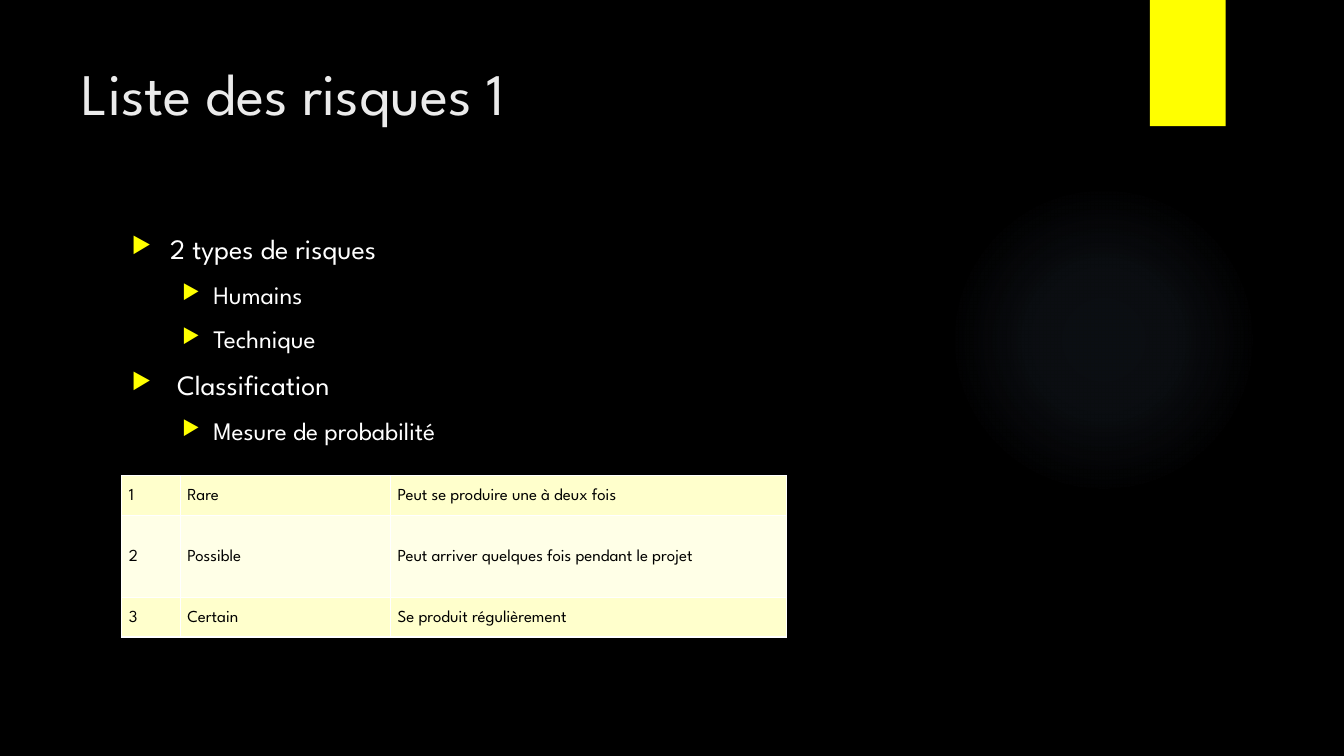
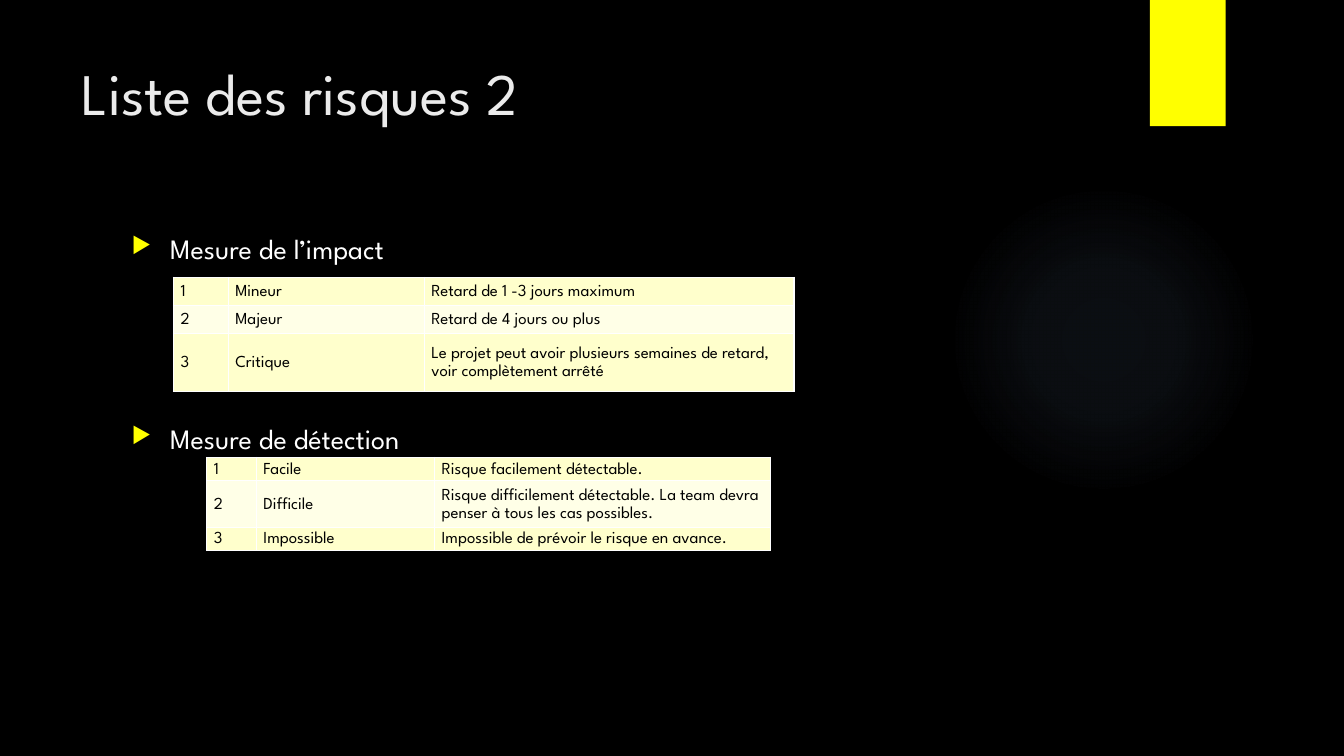
from pptx import Presentation
from pptx.dml.color import RGBColor
from pptx.enum.shapes import MSO_SHAPE
from pptx.enum.text import MSO_ANCHOR
from pptx.oxml import parse_xml
from pptx.oxml.ns import nsdecls
from pptx.util import Cm, Pt

BLACK = RGBColor(0x00, 0x00, 0x00)
WHITE = RGBColor(0xFF, 0xFF, 0xFF)
PALE = RGBColor(0xEB, 0xEB, 0xEB)
YELLOW = RGBColor(0xFF, 0xFF, 0x00)
CREAM = RGBColor(0xFF, 0xFF, 0xCC)
IVORY = RGBColor(0xFF, 0xFF, 0xE7)
GLOW = RGBColor(0x9D, 0xC6, 0xF9)

FONT = "League Spartan"
LEADING = 1.2
GAP = 10  # points above each bullet
LEVELS = [(20, 0.97, 0.97), (18, 2.06, 0.79)]  # size, margin, hanging
SHARES = (0.088, 0.316, 0.596)  # column shares of a table's width
STOPS = [(0, 7), (36, 6), (69, 0)]  # glow: position and opacity in percent


class Deck:
    def __init__(self):
        self.file = Presentation()
        self.file.slide_width, self.file.slide_height = Cm(33.87), Cm(19.05)

    def start(self, title):
        self.slide = self.file.slides.add_slide(self.file.slide_layouts[6])
        fill = self.slide.background.fill
        fill.solid()
        fill.fore_color.rgb = BLACK
        self.glow()
        band = self.shape(MSO_SHAPE.RECTANGLE, 28.98, 0, 1.91, 3.18)
        band.fill.solid()
        band.fill.fore_color.rgb = YELLOW
        para = self.box(1.8, 1.3, 24.84, 3.89).paragraphs[0]
        self.label(para, title, 42, PALE)
        para.line_spacing = Pt(42 * LEADING)

    def shape(self, kind, left, top, width, height):
        item = self.slide.shapes.add_shape(
            kind, Cm(left), Cm(top), Cm(width), Cm(height))
        item.shadow.inherit = False
        item.line.fill.background()
        return item

    def glow(self):
        disc = self.shape(MSO_SHAPE.OVAL, 23.9, 4.65, 7.82, 7.82)
        stops = "".join(
            f'<a:gs pos="{pos * 1000}"><a:srgbClr val="{GLOW}">'
            f'<a:alpha val="{alpha * 1000}"/></a:srgbClr></a:gs>'
            for pos, alpha in STOPS)
        grad = parse_xml(
            f'<a:gradFill {nsdecls("a")}><a:gsLst>{stops}</a:gsLst>'
            '<a:path path="circle"><a:fillToRect l="50000" t="50000" '
            'r="50000" b="50000"/></a:path></a:gradFill>')
        disc.element.spPr.find("{*}prstGeom").addnext(grad)

    def box(self, left, top, width, height):
        frame = self.slide.shapes.add_textbox(
            Cm(left), Cm(top), Cm(width), Cm(height)).text_frame
        frame.word_wrap = True
        return frame

    def label(self, para, text, size, color):
        para.text = text
        for run in para.runs:
            run.font.name = FONT
            run.font.size = Pt(size)
            run.font.color.rgb = color

    def bullets(self, items):
        """Each item is a level, a text and the points above it."""
        frame = self.box(3.07, 5.71, 24.84, 11.66)
        for row, (level, text, above) in enumerate(items):
            para = frame.add_paragraph() if row else frame.paragraphs[0]
            size, margin, hang = LEVELS[level]
            self.label(para, text, size, WHITE)
            para.level = level
            para.line_spacing = Pt(size * LEADING)
            para.space_before = Pt(above)
            props = para._p.get_or_add_pPr()
            props.set("marL", str(Cm(margin)))
            props.set("indent", str(-Cm(hang)))
            for mark in (
                    f'<a:buClr {nsdecls("a")}><a:srgbClr val="{YELLOW}"/></a:buClr>',
                    f'<a:buSzPct {nsdecls("a")} val="80000"/>',
                    f'<a:buChar {nsdecls("a")} char="▶"/>'):
                props.append(parse_xml(mark))

    def table(self, left, top, width, heights, rows):
        grid = self.slide.shapes.add_table(
            len(rows), len(SHARES), Cm(left), Cm(top), Cm(width),
            Cm(sum(heights))).table
        grid.first_row = False
        for col, share in zip(grid.columns, SHARES):
            col.width = Cm(round(width * share, 2))
        for num, (height, texts) in enumerate(zip(heights, rows)):
            grid.rows[num].height = Cm(height)
            for cell, text in zip(grid.rows[num].cells, (str(num + 1), *texts)):
                self.cell(cell, text, IVORY if num % 2 else CREAM)

    def cell(self, cell, text, color):
        para = cell.text_frame.paragraphs[0]
        self.label(para, text, 12, BLACK)
        para.line_spacing = 1.15
        cell.vertical_anchor = MSO_ANCHOR.MIDDLE
        cell.margin_left = cell.margin_right = Cm(0.18)
        cell.margin_top = cell.margin_bottom = 0
        props = cell._tc.get_or_add_tcPr()
        for side in "LRTB":
            props.append(parse_xml(
                f'<a:ln{side} {nsdecls("a")} w="{Pt(1)}"><a:solidFill>'
                f'<a:srgbClr val="{WHITE}"/></a:solidFill></a:ln{side}>'))
        cell.fill.solid()
        cell.fill.fore_color.rgb = color


def main():
    deck = Deck()

    # Risk types and probability
    deck.start("Liste des risques 1")
    deck.bullets([
        (0, "2 types de risques", GAP),
        (1, "Humains", GAP),
        (1, "Technique", GAP),
        (0, " Classification", GAP),
        (1, "Mesure de probabilité", GAP),
    ])
    deck.table(3.07, 11.99, 16.76, (1, 2.06, 1), [
        ("Rare", "Peut se produire une à deux fois"),
        ("Possible", "Peut arriver quelques fois pendant le projet"),
        ("Certain", "Se produit régulièrement"),
    ])

    # Impact and detection
    deck.start("Liste des risques 2")
    deck.bullets([
        (0, "Mesure de l’impact", GAP),
        (0, "Mesure de détection", 112),
    ])
    deck.table(4.37, 6.99, 15.64, (0.71, 0.71, 1.45), [
        ("Mineur", "Retard de 1 -3 jours maximum"),
        ("Majeur", "Retard de 4 jours ou plus"),
        ("Critique", "Le projet peut avoir plusieurs semaines de retard, "
                     "voir complètement arrêté"),
    ])
    deck.table(5.21, 11.53, 14.2, (0.45, 0.89, 0.45), [
        ("Facile", "Risque facilement détectable."),
        ("Difficile", "Risque difficilement détectable. La team devra "
                      "penser à tous les cas possibles."),
        ("Impossible", "Impossible de prévoir le risque en avance."),
    ])

    deck.file.save("out.pptx")


if __name__ == "__main__":
    main()
